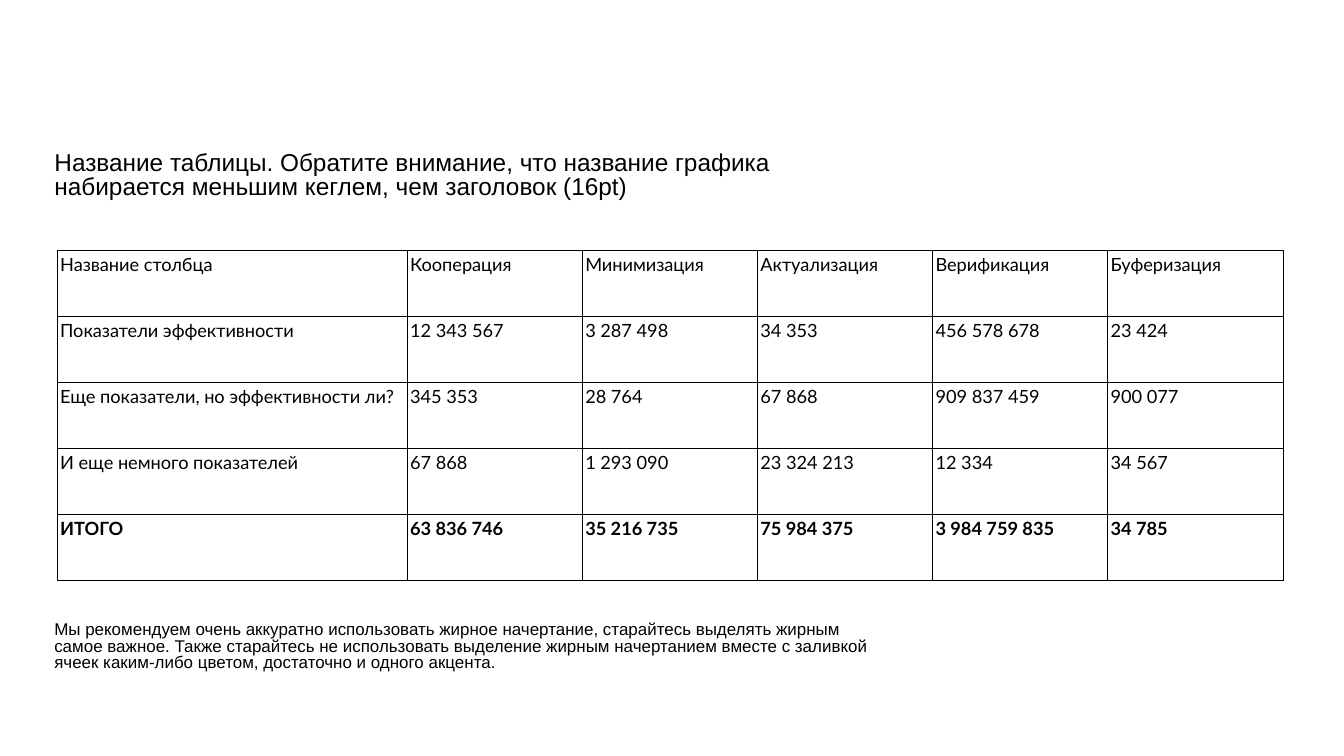
"""Builds a slide with a titled table of figures and a note below it."""
import pptx
import pptx.dml.color
import pptx.enum.text
import pptx.oxml.ns
import pptx.util
from lxml import etree

Pt = pptx.util.Pt

COLOURS = {"text": "000000", "border": "000000"}
TITLE = [
    "Название таблицы. Обратите внимание, что название графика",
    "набирается меньшим кеглем, чем заголовок (16pt)",
]
NOTE = [
    "Мы рекомендуем очень аккуратно использовать жирное начертание, "
    "старайтесь выделять жирным самое важное. Также старайтесь не "
    "использовать выделение жирным начертанием вместе с заливкой ячеек "
    "каким-либо цветом, достаточно и одного акцента.",
]
ROWS = [
    ("Название столбца", "Кооперация", "Минимизация", "Актуализация", "Верификация", "Буферизация"),
    ("Показатели эффективности", "12 343 567", "3 287 498", "34 353", "456 578 678", "23 424"),
    ("Еще показатели, но эффективности ли?", "345 353", "28 764", "67 868", "909 837 459", "900 077"),
    ("И еще немного показателей", "67 868", "1 293 090", "23 324 213", "12 334", "34 567"),
    ("ИТОГО", "63 836 746", "35 216 735", "75 984 375", "3 984 759 835", "34 785"),
]
TEXT_LEFT, TEXT_WIDTH = 31.7, 611.3
TABLE_LEFT, TABLE_TOP = 41, 179.1
LABEL_WIDTH, VALUE_WIDTH, ROW_HEIGHT = 250, 125.1, 47.1
CELL_MARGIN, BORDER_WIDTH = 2, 0.75


def style_spans(para, font, size, bold=False):
    """Sets the font of every run in a paragraph."""
    for span in para.runs:
        span.font.name = font
        span.font.size = Pt(size)
        span.font.bold = bold
        span.font.color.rgb = pptx.dml.color.RGBColor.from_string(COLOURS["text"])


def fill_box(box, top, height, lines, size, space_before=0):
    """Places a text box and writes its lines as tight paragraphs."""
    box.left, box.top, box.width, box.height = Pt(TEXT_LEFT), Pt(top), Pt(TEXT_WIDTH), Pt(height)
    frame = box.text_frame
    frame.word_wrap = True
    frame.auto_size = pptx.enum.text.MSO_AUTO_SIZE.NONE
    frame.vertical_anchor = pptx.enum.text.MSO_ANCHOR.TOP
    frame.text = "\n".join(lines)
    for para in frame.paragraphs:
        para.alignment = pptx.enum.text.PP_ALIGN.LEFT
        para.line_spacing = 0.8
        para.space_before = Pt(space_before)
        style_spans(para, "Arial", size)


def add_borders(cell):
    """Draws a thin line on all four sides of a cell."""
    properties = cell._tc.get_or_add_tcPr()
    for position, side in enumerate(("lnL", "lnR", "lnT", "lnB")):
        line = etree.Element(pptx.oxml.ns.qn(f"a:{side}"), w=str(Pt(BORDER_WIDTH)))
        fill = etree.SubElement(line, pptx.oxml.ns.qn("a:solidFill"))
        etree.SubElement(fill, pptx.oxml.ns.qn("a:srgbClr"), val=COLOURS["border"])
        properties.insert(position, line)


def fill_cell(cell, text, bold):
    """Writes one bordered, unfilled table cell."""
    cell.text = text
    cell.margin_left = cell.margin_right = Pt(CELL_MARGIN)
    cell.margin_top = cell.margin_bottom = Pt(CELL_MARGIN)
    cell.fill.background()
    style_spans(cell.text_frame.paragraphs[0], "Lato", 13, bold)
    add_borders(cell)


def add_figures(slide):
    """Adds the table, with its last row in bold."""
    widths = [LABEL_WIDTH] + [VALUE_WIDTH] * (len(ROWS[0]) - 1)
    table = slide.shapes.add_table(
        len(ROWS), len(widths), Pt(TABLE_LEFT), Pt(TABLE_TOP),
        Pt(sum(widths)), Pt(ROW_HEIGHT * len(ROWS)),
    ).table
    table.horz_banding = False
    for column, width in zip(table.columns, widths):
        column.width = Pt(width)
    for row, texts in zip(table.rows, ROWS):
        row.height = Pt(ROW_HEIGHT)
        for cell, text in zip(row.cells, texts):
            fill_cell(cell, text, bold=texts is ROWS[-1])


def main():
    """Builds and saves the deck."""
    deck = pptx.Presentation()
    deck.slide_width, deck.slide_height = Pt(960), Pt(540)
    slide = deck.slides.add_slide(deck.slide_layouts[5])
    fill_box(slide.shapes.title, 105.8, 45.4, TITLE, 17.4)
    note = slide.shapes.add_textbox(0, 0, 0, 0)
    fill_box(note, 441.4, 43.2, NOTE, 12.1, space_before=11)
    add_figures(slide)
    deck.save("out.pptx")


if __name__ == "__main__":
    main()
